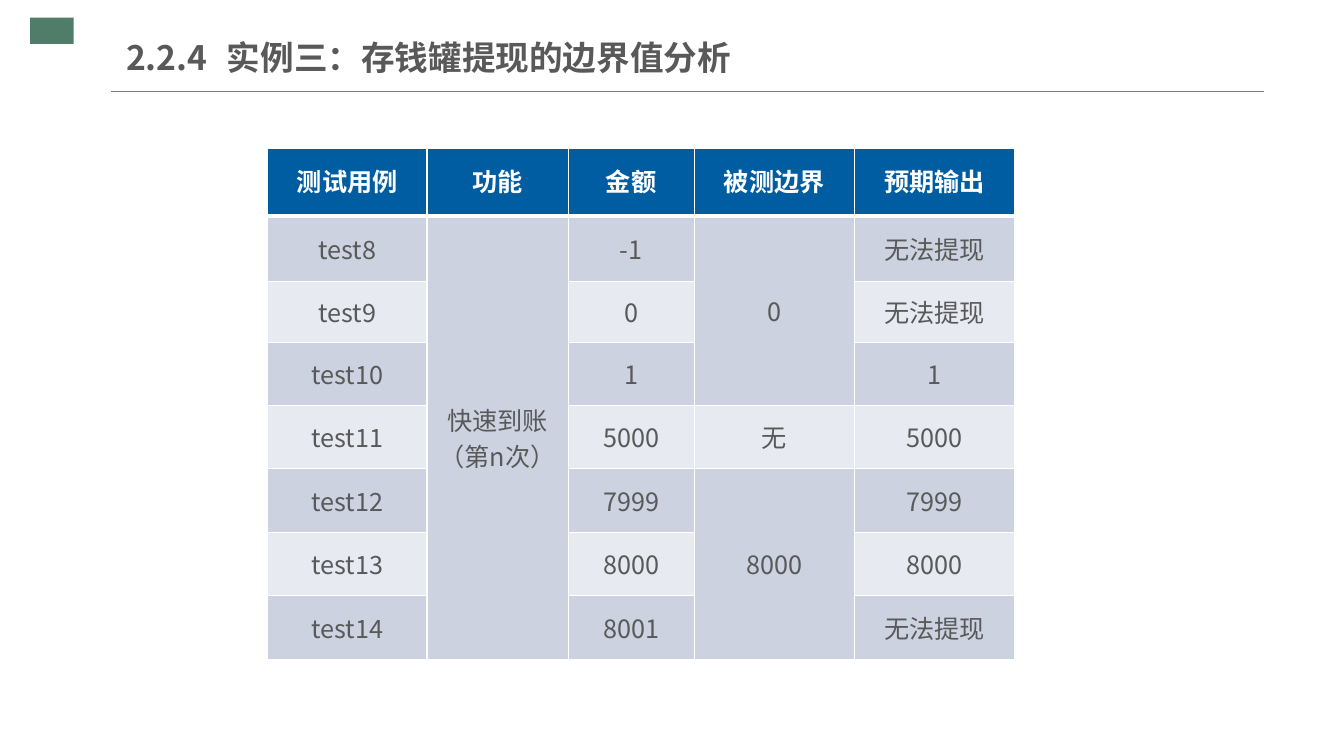
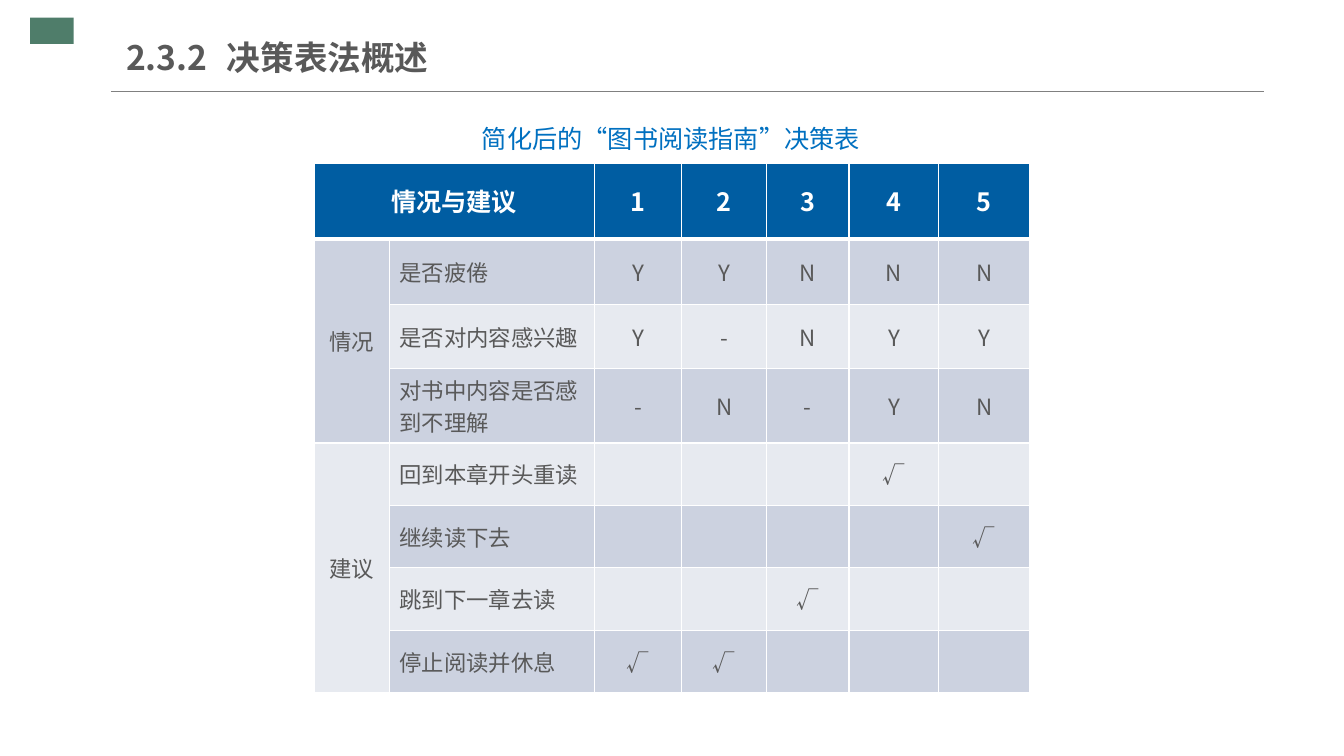
import pptx
import pptx.util
import pptx.dml.color
import pptx.enum.shapes
import pptx.enum.text
import pptx.oxml
import pptx.oxml.ns
from dataclasses import dataclass

ALIGN = pptx.enum.text.PP_ALIGN
ANCHOR = pptx.enum.text.MSO_ANCHOR
AUTO_SIZE = pptx.enum.text.MSO_AUTO_SIZE
NSDECLS = pptx.oxml.ns.nsdecls("a")


@dataclass(frozen=True)
class Theme:
    """Colours, font and type sizes of the deck."""
    font: str = "Noto Sans CJK SC"
    text: str = "595959"
    white: str = "FFFFFF"
    marker: str = "4F7D6A"
    rule: str = "808080"
    caption: str = "0070C0"
    header: str = "005DA2"
    bands: tuple = ("E7EAF0", "CCD2E0")
    title_size: int = 24
    large: int = 18
    small: int = 16
    border: int = 1
    header_border: int = 3


def rgb(value):
    return pptx.dml.color.RGBColor.from_string(value)


def set_values(target, values):
    for name, value in values.items():
        setattr(target, name, value)


class Deck:
    """Holds the style and the current slide; lengths are percent of the slide."""

    def __init__(self, theme):
        self.theme = theme
        self.presentation = pptx.Presentation()
        set_values(self.presentation, {"slide_width": pptx.util.Inches(13.333),
                                       "slide_height": pptx.util.Inches(7.5)})
        self.layout = self.presentation.slide_layouts[5]
        self.slide = None

    def x(self, share):
        return round(self.presentation.slide_width * share / 100)

    def y(self, share):
        return round(self.presentation.slide_height * share / 100)

    def box(self, left, top, width, height):
        return self.x(left), self.y(top), self.x(width), self.y(height)

    def new_slide(self, title, title_width):
        self.slide = self.presentation.slides.add_slide(self.layout)
        if len(self.presentation.slides) == 1:
            self.shared_frame()
        self.title(title, title_width)

    def shared_frame(self):
        """Corner marker and title rule, kept in the layout for all slides."""
        shapes = self.slide.shapes
        marker = shapes.add_shape(pptx.enum.shapes.MSO_SHAPE.RECTANGLE,
                                  *self.box(2.25, 2.33, 3.23, 3.47))
        marker.shadow.inherit = False
        marker.fill.solid()
        marker.fill.fore_color.rgb = rgb(self.theme.marker)
        marker.line.fill.background()
        rule = shapes.add_connector(pptx.enum.shapes.MSO_CONNECTOR.STRAIGHT,
                                    self.x(8.25), self.y(12.13), self.x(94.05), self.y(12.13))
        rule.line.color.rgb = rgb(self.theme.rule)
        rule.line.width = pptx.util.Pt(0.75)
        rule.element.spPr.append(pptx.oxml.parse_xml(f"<a:effectLst {NSDECLS}/>"))
        for number, part in enumerate((marker, rule), start=101):
            part.element.xpath(".//p:cNvPr")[0].set("id", str(number))
            self.layout.shapes.element.append(part.element)

    def set_text(self, frame, text, size, color, bold=False, **paragraph_format):
        """Put one formatted paragraph into a text frame."""
        paragraph = frame.paragraphs[0]
        set_values(paragraph, paragraph_format)
        run = paragraph.add_run()
        run.text = text
        set_values(run.font, {"name": self.theme.font, "size": pptx.util.Pt(size), "bold": bold})
        run.font.color.rgb = rgb(color)
        run._r.get_or_add_rPr().append(pptx.oxml.parse_xml(
            f'<a:ea {NSDECLS} typeface="{self.theme.font}"/>'))

    def insets(self, frame, side):
        set_values(frame, {"margin_left": self.x(side), "margin_right": self.x(side),
                           "margin_top": self.y(0.93), "margin_bottom": self.y(0.93),
                           "word_wrap": True, "auto_size": AUTO_SIZE.NONE})

    def title(self, text, width):
        heading = self.slide.shapes.title
        set_values(heading, dict(zip(("left", "top", "width", "height"),
                                     self.box(9.38, 3.87, width, 7.33))))
        self.insets(heading.text_frame, 0)
        heading.text_frame.vertical_anchor = ANCHOR.MIDDLE
        self.set_text(heading.text_frame, text, self.theme.title_size, self.theme.text,
                      bold=True, alignment=ALIGN.LEFT)

    def caption(self, text, *area):
        caption = self.slide.shapes.add_textbox(*self.box(*area))
        self.insets(caption.text_frame, 0.98)
        self.set_text(caption.text_frame, text, self.theme.large, self.theme.caption,
                      alignment=ALIGN.JUSTIFY, line_spacing=1.5)

    def borders(self, cell, row):
        widths = {side: self.theme.border for side in ("lnL", "lnR", "lnT", "lnB")}
        if row < 2:
            widths["lnT" if row else "lnB"] = self.theme.header_border
        for side, width in widths.items():
            cell._tc.get_or_add_tcPr().append(pptx.oxml.parse_xml(
                f'<a:{side} {NSDECLS} w="{pptx.util.Pt(width)}"><a:solidFill>'
                f'<a:srgbClr val="{self.theme.white}"/></a:solidFill></a:{side}>'))

    def table(self, area, columns, heights, rows, merges, size, left_column=None):
        """Banded table; columns and heights are weights within the area."""
        theme = self.theme
        left, top, width, height = self.box(*area)
        grid = self.slide.shapes.add_table(len(rows), len(columns),
                                           left, top, width, height).table
        set_values(grid, {"first_row": False, "horz_banding": False})
        for column, weight in zip(grid.columns, columns):
            column.width = round(width * weight / sum(columns))
        for row, weight in zip(grid.rows, heights):
            row.height = round(height * weight / sum(heights))
        for r, row in enumerate(rows):
            for c, text in enumerate(row):
                cell = grid.cell(r, c)
                self.borders(cell, r)
                cell.fill.solid()
                cell.fill.fore_color.rgb = rgb(theme.bands[r % 2] if r else theme.header)
                cell.vertical_anchor = ANCHOR.MIDDLE
                if not text:
                    continue
                if r == 0:
                    self.set_text(cell.text_frame, text, theme.large, theme.white, bold=True,
                                  alignment=ALIGN.CENTER, line_spacing=0.9)
                else:
                    self.set_text(cell.text_frame, text, size, theme.text,
                                  alignment=ALIGN.LEFT if c == left_column else ALIGN.CENTER)
        for first, last in merges:
            grid.cell(*first).merge(grid.cell(*last))


def main():
    theme = Theme()
    deck = Deck(theme)

    # Boundary value test cases
    deck.new_slide("2.2.4\t实例三：存钱罐提现的边界值分析", 52.88)
    deck.table(
        (19.92, 19.6, 55.58, 67.6),
        columns=(1.58, 1.4, 1.25, 1.59, 1.59),
        heights=(0.67, 0.65, 0.61, 0.62, 0.63, 0.63, 0.63, 0.63),
        rows=(
            ("测试用例", "功能", "金额", "被测边界", "预期输出"),
            ("test8", "快速到账（第n次）", "-1", "0", "无法提现"),
            ("test9", "", "0", "", "无法提现"),
            ("test10", "", "1", "", "1"),
            ("test11", "", "5000", "无", "5000"),
            ("test12", "", "7999", "8000", "7999"),
            ("test13", "", "8000", "", "8000"),
            ("test14", "", "8001", "", "无法提现"),
        ),
        merges=(((1, 1), (7, 1)), ((1, 3), (3, 3)), ((5, 3), (7, 3))),
        size=theme.large)

    # Simplified decision table
    deck.new_slide("2.3.2\t决策表法概述", 31.95)
    deck.caption("简化后的“图书阅读指南”决策表", 34.88, 13.33, 30.23, 8.4)
    deck.table(
        (23.36, 21.65, 53.25, 68.27),
        columns=(0.75, 2.03, 0.87, 0.84, 0.82, 0.89, 0.9),
        heights=(0.75, 0.65, 0.63, 0.61, 0.62, 0.62, 0.62, 0.62),
        rows=(
            ("情况与建议", "", "1", "2", "3", "4", "5"),
            ("情况", "是否疲倦", "Y", "Y", "N", "N", "N"),
            ("", "是否对内容感兴趣", "Y", "-", "N", "Y", "Y"),
            ("", "对书中内容是否感到不理解", "-", "N", "-", "Y", "N"),
            ("建议", "回到本章开头重读", "", "", "", "√", ""),
            ("", "继续读下去", "", "", "", "", "√"),
            ("", "跳到下一章去读", "", "", "√", "", ""),
            ("", "停止阅读并休息", "√", "√", "", "", ""),
        ),
        merges=(((0, 0), (0, 1)), ((1, 0), (3, 0)), ((4, 0), (7, 0))),
        size=theme.small, left_column=1)

    deck.presentation.save("out.pptx")


if __name__ == "__main__":
    main()
